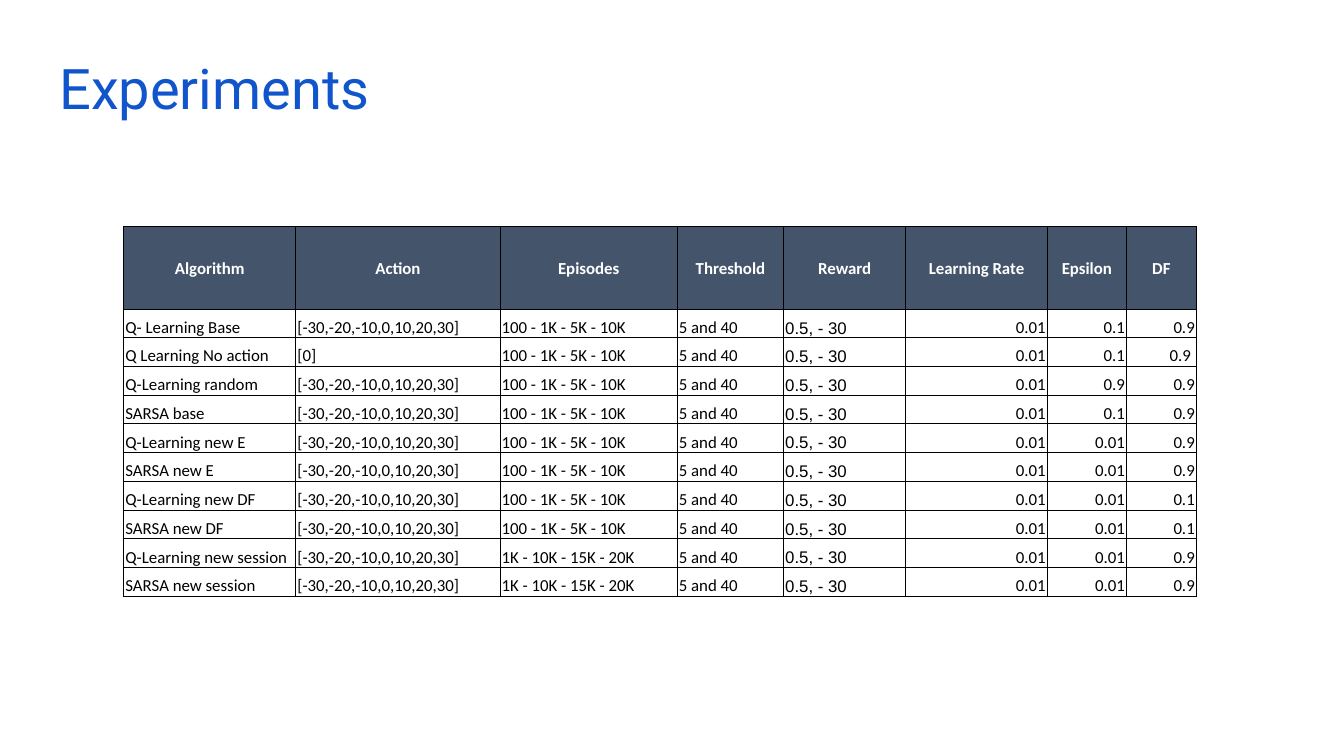
"""Build the Experiments slide with its table of reinforcement learning settings."""
from lxml import etree
from pptx import Presentation
from pptx.dml.color import RGBColor
from pptx.enum.text import MSO_ANCHOR, MSO_AUTO_SIZE, PP_ALIGN
from pptx.oxml.ns import qn
from pptx.util import Cm, Pt

LEFT, CENTER, RIGHT = PP_ALIGN.LEFT, PP_ALIGN.CENTER, PP_ALIGN.RIGHT
TOP, MIDDLE, BOTTOM = MSO_ANCHOR.TOP, MSO_ANCHOR.MIDDLE, MSO_ANCHOR.BOTTOM
NO_AUTOFIT = MSO_AUTO_SIZE.NONE
BLUE = RGBColor(0x11, 0x55, 0xCC)
SLATE = RGBColor(0x44, 0x54, 0x6A)
WHITE = RGBColor(0xFF, 0xFF, 0xFF)
BLACK = RGBColor(0x00, 0x00, 0x00)

HEADERS = ["Algorithm", "Action", "Episodes", "Threshold", "Reward", "Learning Rate", "Epsilon", "DF"]
WIDTHS = [3.25, 3.86, 3.35, 2.01, 2.31, 2.67, 1.5, 1.32]
ALIGNMENTS = [LEFT] * 5 + [RIGHT] * 3
FONTS = ["Calibri"] * 4 + ["Arial"] + ["Calibri"] * 3
ACTIONS = "[-30,-20,-10,0,10,20,30]"
SHORT = "100 - 1K - 5K - 10K"
LONG = "1K - 10K - 15K - 20K"
EXPERIMENTS = [
    ("Q- Learning Base", ACTIONS, SHORT, "0.1", "0.9"),
    ("Q Learning No action", "[0]", SHORT, "0.1", "0.9 "),
    ("Q-Learning random", ACTIONS, SHORT, "0.9", "0.9"),
    ("SARSA base", ACTIONS, SHORT, "0.1", "0.9"),
    ("Q-Learning new E", ACTIONS, SHORT, "0.01", "0.9"),
    ("SARSA new E", ACTIONS, SHORT, "0.01", "0.9"),
    ("Q-Learning new DF", ACTIONS, SHORT, "0.01", "0.1"),
    ("SARSA new DF", ACTIONS, SHORT, "0.01", "0.1"),
    ("Q-Learning new session", ACTIONS, LONG, "0.01", "0.9"),
    ("SARSA new session", ACTIONS, LONG, "0.01", "0.9"),
]


def add_borders(cell):
    properties = cell._tc.get_or_add_tcPr()
    for side in ("a:lnL", "a:lnR", "a:lnT", "a:lnB"):
        line = etree.SubElement(properties, qn(side), w=str(Pt(0.5)))
        fill = etree.SubElement(line, qn("a:solidFill"))
        etree.SubElement(fill, qn("a:srgbClr"), val=str(BLACK))


def style_text(para, font_name, size, color, bold, alignment):
    para.alignment = alignment
    for span in para.runs:
        span.font.name = font_name
        span.font.size = Pt(size)
        span.font.color.rgb = color
        span.font.bold = bold


deck = Presentation()
deck.slide_width, deck.slide_height = Cm(25.4), Cm(14.29)
page = deck.slides.add_slide(deck.slide_layouts[5])

title = page.shapes.title
title.left, title.top, title.width, title.height = Cm(0.87), Cm(0.76), Cm(23.67), Cm(1.6)
frame = title.text_frame
frame.text = "Experiments"
frame.auto_size = NO_AUTOFIT
frame.word_wrap = True
frame.vertical_anchor = TOP
frame.margin_left = frame.margin_right = frame.margin_top = frame.margin_bottom = Cm(0.25)
style_text(frame.paragraphs[0], "Roboto", 30, BLUE, False, LEFT)

rows = [HEADERS]
for algorithm, action, episodes, epsilon, discount in EXPERIMENTS:
    rows.append([algorithm, action, episodes, "5 and 40", "0.5, - 30", "0.01", epsilon, discount])

table = page.shapes.add_table(
    len(rows), len(HEADERS), Cm(2.34), Cm(4.28), Cm(sum(WIDTHS)), Cm(6.99)
).table
for column, width in zip(table.columns, WIDTHS):
    column.width = Cm(width)

for row_index, values in enumerate(rows):
    is_header = row_index == 0
    table.rows[row_index].height = Cm(1.56) if is_header else Cm(5.43) // len(EXPERIMENTS)
    for column_index, value in enumerate(values):
        cell = table.cell(row_index, column_index)
        cell.text = value
        cell.margin_left = cell.margin_right = cell.margin_top = Cm(0.03)
        cell.margin_bottom = 0
        add_borders(cell)
        para = cell.text_frame.paragraphs[0]
        if is_header:
            cell.vertical_anchor = MIDDLE
            cell.fill.solid()
            cell.fill.fore_color.rgb = SLATE
            style_text(para, "Calibri", 9, WHITE, True, CENTER)
        else:
            cell.vertical_anchor = BOTTOM
            cell.fill.background()
            style_text(para, FONTS[column_index], 9, BLACK, False, ALIGNMENTS[column_index])

deck.save("out.pptx")
